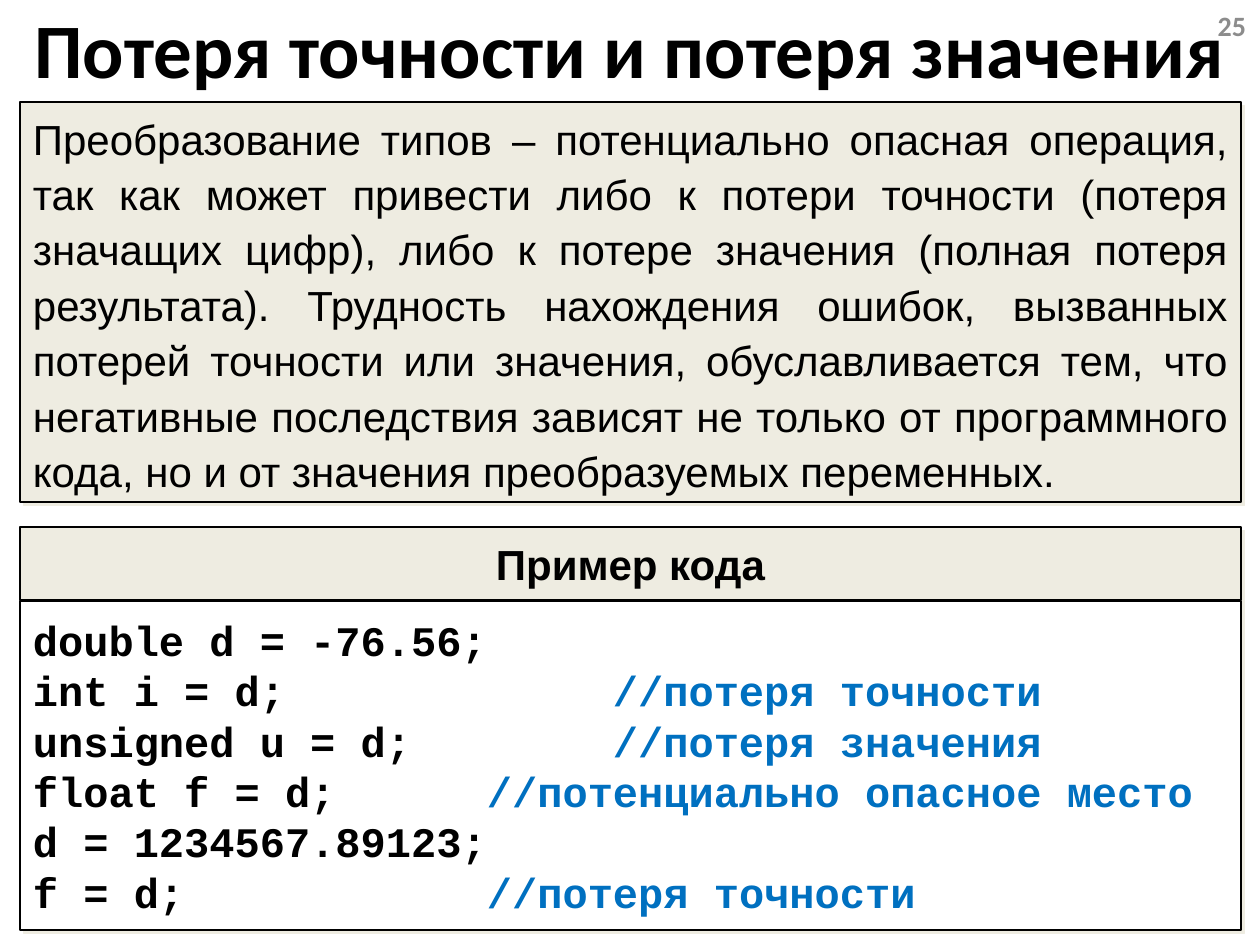
from lxml import etree
from pptx import Presentation
from pptx.dml.color import RGBColor
from pptx.enum.shapes import MSO_SHAPE
from pptx.enum.text import MSO_ANCHOR, MSO_AUTO_SIZE, PP_ALIGN
from pptx.oxml.ns import qn
from pptx.util import Pt

RECT = MSO_SHAPE.RECTANGLE
MIDDLE = MSO_ANCHOR.MIDDLE
NO_FIT = MSO_AUTO_SIZE.NONE
LEFT, CENTER, RIGHT, JUSTIFY = (
    PP_ALIGN.LEFT, PP_ALIGN.CENTER, PP_ALIGN.RIGHT, PP_ALIGN.JUSTIFY)

BLACK = RGBColor(0x00, 0x00, 0x00)
WHITE = RGBColor(0xFF, 0xFF, 0xFF)
CREAM = RGBColor(0xEE, 0xEC, 0xE1)
GRAY = RGBColor(0x8C, 0x8C, 0x8C)
BLUE = RGBColor(0x00, 0x70, 0xC0)

PX_PER_INCH = 126
MARGIN, PANEL_W = 20, 1221

INTRO = (
    "Преобразование типов – потенциально опасная операция, так как может "
    "привести либо к потери точности (потеря значащих цифр), либо к потере "
    "значения (полная потеря результата). Трудность нахождения ошибок, "
    "вызванных потерей точности или значения, обуславливается тем, что "
    "негативные последствия зависят не только от программного кода, но и от "
    "значения преобразуемых переменных.")

NEAR, FAR = 454, 580
CODE = [
    ("double d = -76.56;", None, None),
    ("int i = d;", FAR, "//потеря точности"),
    ("unsigned u = d;", FAR, "//потеря значения"),
    ("float f = d;", NEAR, "//потенциально опасное место"),
    ("d = 1234567.89123;", None, None),
    ("f = d;", NEAR, "//потеря точности"),
]


def px(n):
    return round(n * 914400 / PX_PER_INCH)


def add_run(p, text, font="Arial", size=24, color=BLACK, bold=False):
    r = p.add_run()
    r.text = text
    r.font.name = font
    r.font.size = Pt(size)
    r.font.bold = bold
    r.font.color.rgb = color


class SlideBuilder:
    def __init__(self, prs):
        self.s = prs.slides.add_slide(prs.slide_layouts[5])

    def frame(self, sp, align, inset=13):
        tf = sp.text_frame
        tf.word_wrap = True
        tf.auto_size = NO_FIT
        tf.vertical_anchor = MIDDLE
        tf.margin_left = tf.margin_right = px(inset)
        tf.margin_top = tf.margin_bottom = px(6)
        tf.paragraphs[0].alignment = align
        return tf

    def title(self, text, x, y, w, h):
        sp = self.s.shapes.title
        sp.left, sp.top, sp.width, sp.height = map(px, (x, y, w, h))
        tf = self.frame(sp, CENTER, inset=5)
        add_run(tf.paragraphs[0], text, "Calibri", 44, bold=True)

    def page_number(self, text, x, y, w, h):
        sp = self.s.shapes.add_textbox(*map(px, (x, y, w, h)))
        tf = self.frame(sp, RIGHT)
        add_run(tf.paragraphs[0], text, "Calibri", 16, GRAY, True)

    def panel(self, y, h, fill, align):
        sp = self.s.shapes.add_shape(RECT, *map(px, (MARGIN, y, PANEL_W, h)))
        sp.fill.solid()
        sp.fill.fore_color.rgb = fill
        sp.line.color.rgb = BLACK
        sp.line.width = Pt(1)
        self.shadow(sp)
        return self.frame(sp, align)

    def shadow(self, sp):
        sp.shadow.inherit = False
        effects = sp._element.spPr.find(qn("a:effectLst"))
        outer = etree.SubElement(effects, qn("a:outerShdw"), dist=str(Pt(2.8)),
                                 dir="2700000", algn="ctr", rotWithShape="0")
        etree.SubElement(outer, qn("a:srgbClr"), val=str(CREAM))

    def text_panel(self, text, y, h, align, spacing=1.0, bold=False):
        p = self.panel(y, h, CREAM, align).paragraphs[0]
        p.line_spacing = spacing
        add_run(p, text, bold=bold)

    def code_panel(self, lines, y, h):
        tf = self.panel(y, h, WHITE, LEFT)
        for i, (code, stop, comment) in enumerate(lines):
            p = tf.add_paragraph() if i else tf.paragraphs[0]
            p.alignment = LEFT
            if comment:
                tabs = etree.SubElement(p._p.get_or_add_pPr(), qn("a:tabLst"))
                etree.SubElement(tabs, qn("a:tab"), pos=str(px(stop)), algn="l")
                code += "\t"
            add_run(p, code, "Courier New", bold=True)
            if comment:
                add_run(p, comment, "Courier New", color=BLUE, bold=True)


def main():
    prs = Presentation()
    prs.slide_width, prs.slide_height = px(1260), px(945)
    b = SlideBuilder(prs)
    b.page_number("25", 965, 0, 294, 50)
    b.title("Потеря точности и потеря значения", 0, 0, 1260, 96)
    b.text_panel("Пример кода", 527, 73, CENTER, bold=True)
    b.code_panel(CODE, 601, 329)
    b.text_panel(INTRO, 102, 400, JUSTIFY, spacing=1.1)
    prs.save("out.pptx")


if __name__ == "__main__":
    main()
